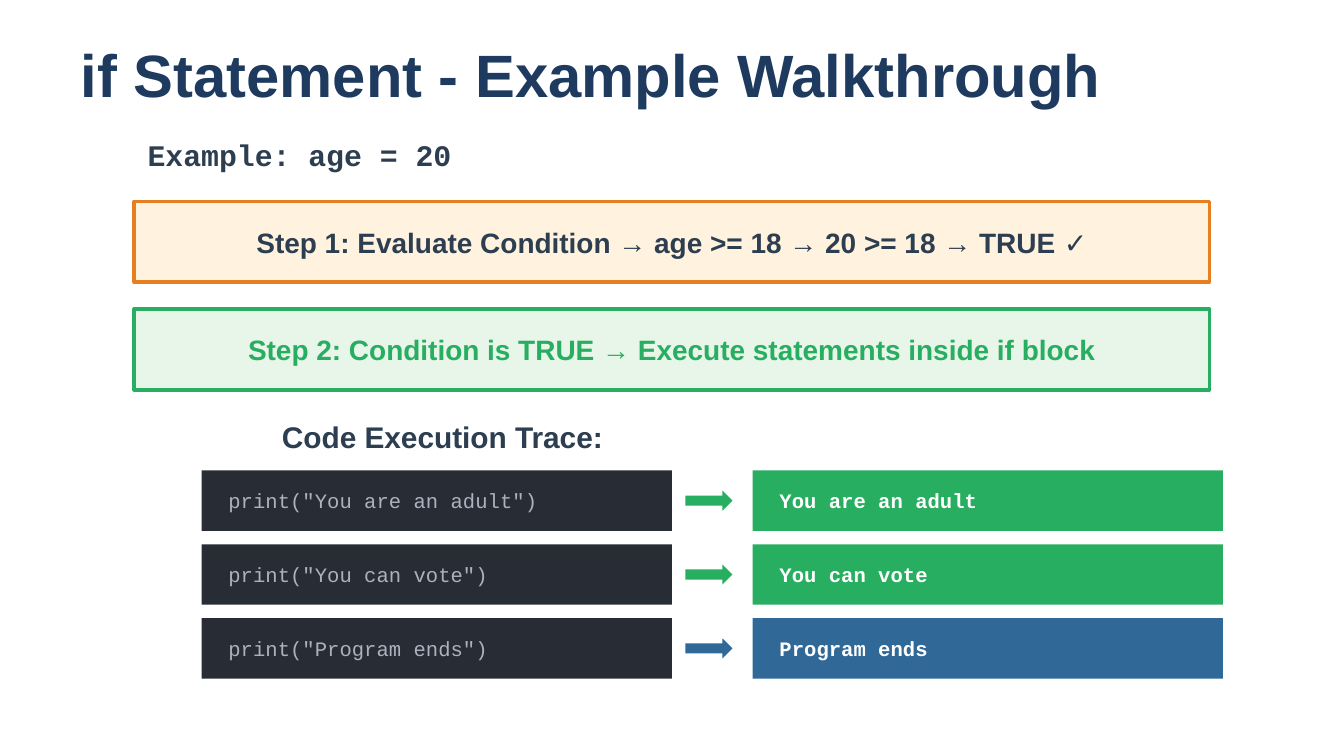
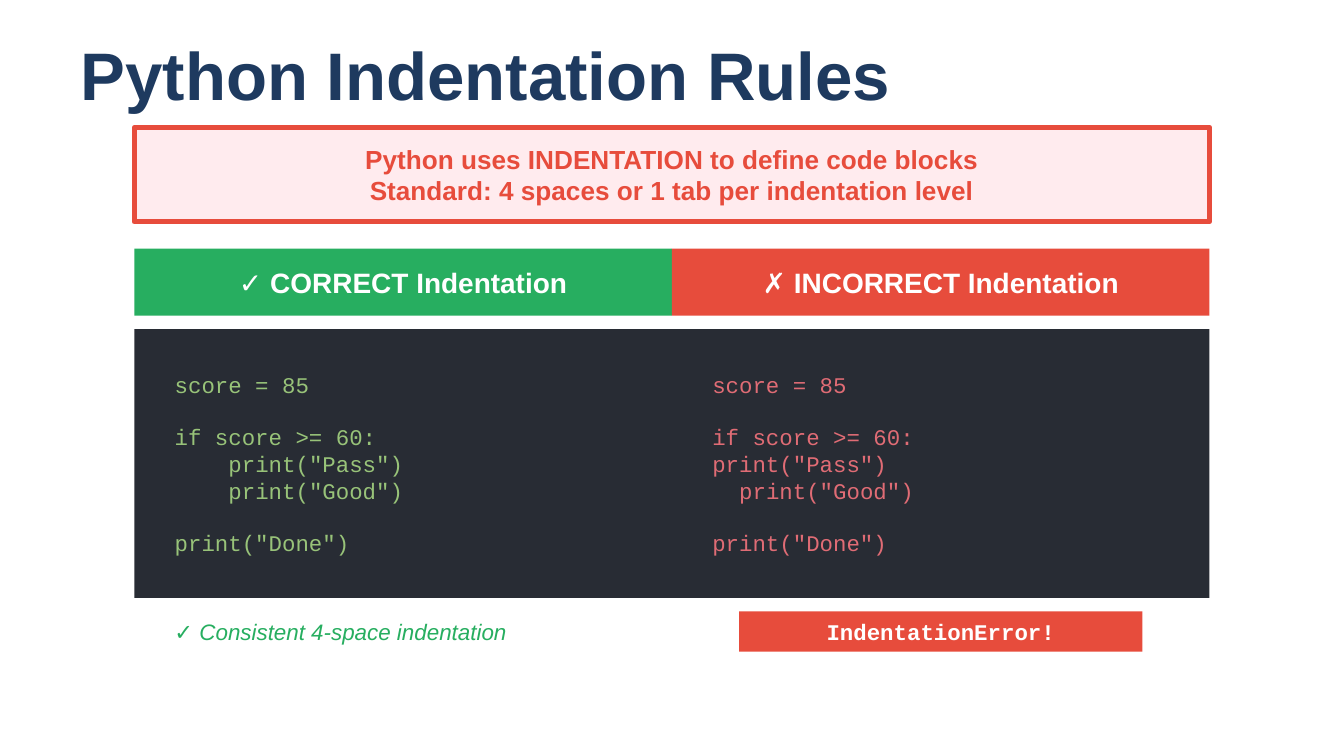
from dataclasses import dataclass
from typing import NamedTuple

import pptx
import pptx.dml.color
import pptx.enum.shapes
import pptx.enum.text
import pptx.oxml
import pptx.util

Pt = pptx.util.Pt
RGBColor = pptx.dml.color.RGBColor
Shape = pptx.enum.shapes.MSO_SHAPE
Align = pptx.enum.text.PP_ALIGN

NAVY = RGBColor(0x1E, 0x3A, 0x5F)
SLATE = RGBColor(0x2C, 0x3E, 0x50)
WHITE = RGBColor(0xFF, 0xFF, 0xFF)
DARK = RGBColor(0x28, 0x2C, 0x34)
GRAY = RGBColor(0xAB, 0xB2, 0xBF)
GREEN = RGBColor(0x27, 0xAE, 0x60)
RED = RGBColor(0xE7, 0x4C, 0x3C)
BLUE = RGBColor(0x30, 0x69, 0x98)
ORANGE = RGBColor(0xE6, 0x7E, 0x22)
CREAM = RGBColor(0xFF, 0xF3, 0xE0)
MINT = RGBColor(0xE8, 0xF5, 0xE9)
PINK = RGBColor(0xFF, 0xEB, 0xEE)
LIME = RGBColor(0x98, 0xC3, 0x79)
ROSE = RGBColor(0xE0, 0x6C, 0x75)

SANS, MONO = "Arial", "Courier New"
LEFT, WIDE = 72, 576
PAD = 7.2
CHAR, LEAD = 7.2, 13.6  # advance and line height of 12 pt code


class Area(NamedTuple):
    x: float
    y: float
    w: float
    h: float


class Face(NamedTuple):
    size: float
    color: RGBColor
    font: str = SANS
    bold: bool = True
    italic: bool = False


class Line(NamedTuple):
    """One paragraph, with its indent in characters and blank lines above."""
    text: str
    indent: int = 0
    above: int = 0


@dataclass
class Step:
    text: str
    fill: RGBColor
    edge: RGBColor
    ink: RGBColor


@dataclass
class Trace:
    code: str
    result: str
    color: RGBColor


@dataclass
class Side:
    head: str
    color: RGBColor
    ink: RGBColor
    code: list[Line]


STEPS = [
    Step("Step 1: Evaluate Condition → age >= 18 → 20 >= 18 → TRUE ✓",
         CREAM, ORANGE, SLATE),
    Step("Step 2: Condition is TRUE → Execute statements inside if block",
         MINT, GREEN, GREEN),
]
TRACES = [
    Trace('print("You are an adult")', "You are an adult", GREEN),
    Trace('print("You can vote")', "You can vote", GREEN),
    Trace('print("Program ends")', "Program ends", BLUE),
]


def listing(first: int, second: int) -> list[Line]:
    """Return the score program with the given indents in its if block."""
    return [
        Line("score = 85"),
        Line("if score >= 60:", above=1),
        Line('print("Pass")', first),
        Line('print("Good")', second),
        Line('print("Done")', above=1),
    ]


SIDES = [
    Side("✓ CORRECT Indentation", GREEN, LIME, listing(4, 4)),
    Side("✗ INCORRECT Indentation", RED, ROSE, listing(0, 2)),
]


def write(shape, lines: list[Line], face: Face,
          align=Align.LEFT, pad: float = PAD) -> None:
    frame = shape.text_frame
    frame.word_wrap = True
    frame.auto_size = pptx.enum.text.MSO_AUTO_SIZE.NONE
    frame.vertical_anchor = pptx.enum.text.MSO_ANCHOR.MIDDLE
    frame.margin_left = frame.margin_right = Pt(pad)
    frame.margin_top = frame.margin_bottom = Pt(3.6)
    frame.text = "\n".join(line.text for line in lines)
    for para, line in zip(frame.paragraphs, lines):
        para.alignment = align
        if line.above:
            para.space_before = Pt(line.above * LEAD)
        if line.indent:
            props = para._p.get_or_add_pPr()
            props.set("marL", str(Pt(line.indent * CHAR)))
        for run in para.runs:
            font = run.font
            font.name, font.size = face.font, Pt(face.size)
            font.bold, font.italic = face.bold, face.italic
            font.color.rgb = face.color


def place(area: Area) -> list[pptx.util.Length]:
    return [Pt(value) for value in area]


def block(slide, area: Area, fill: RGBColor, edge: RGBColor | None = None,
          width: float = 2, kind=Shape.RECTANGLE):
    shape = slide.shapes.add_shape(kind, *place(area))
    shape.shadow.inherit = False
    shape.fill.solid()
    shape.fill.fore_color.rgb = fill
    if edge is None:
        shape.line.fill.background()
    else:
        shape.line.color.rgb = edge
        shape.line.width = Pt(width)
    return shape


def label(slide, area: Area, text: str, face: Face) -> None:
    write(slide.shapes.add_textbox(*place(area)), [Line(text)], face)


def start(deck, title: str, size: float):
    """Add a slide with its title."""
    slide = deck.slides.add_slide(deck.slide_layouts[5])
    head = slide.shapes.title
    head.left, head.top, head.width, head.height = place(
        Area(36, 21.6, 648, 36))
    write(head, [Line(title)], Face(size, NAVY))
    return slide


def walk(deck) -> None:
    slide = start(deck, "if Statement - Example Walkthrough", 32)
    label(slide, Area(LEFT, 72, WIDE, 21.6), "Example: age = 20",
          Face(16, SLATE, MONO))
    for i, step in enumerate(STEPS):
        box = block(slide, Area(LEFT, 108 + i * 57.6, WIDE, 43.2),
                    step.fill, step.edge)
        write(box, [Line(step.text)], Face(15, step.ink), Align.CENTER)

    label(slide, Area(144, 223.2, 432, 21.6), "Code Execution Trace:",
          Face(16, SLATE))
    for i, trace in enumerate(TRACES):
        top = 252 + i * 39.6
        code = block(slide, Area(108, top, 252, 32.4), DARK)
        write(code, [Line(trace.code)], Face(11, GRAY, MONO, False),
              pad=2 * PAD)
        block(slide, Area(367.2, top + 10.8, 25.2, 10.8), trace.color,
              kind=Shape.RIGHT_ARROW)
        out = block(slide, Area(403.2, top, 252, 32.4), trace.color)
        write(out, [Line(trace.result)], Face(11, WHITE, MONO), pad=2 * PAD)


def rules(deck) -> None:
    slide = start(deck, "Python Indentation Rules", 36)
    note = block(slide, Area(LEFT, 68.4, WIDE, 50.4), PINK, RED, 3)
    write(note, [Line("Python uses INDENTATION to define code blocks"),
                 Line("Standard: 4 spaces or 1 tab per indentation level")],
          Face(14, RED), Align.CENTER)

    half = WIDE / 2
    for i, side in enumerate(SIDES):
        x = LEFT + i * half
        head = block(slide, Area(x, 133.2, half, 36), side.color)
        write(head, [Line(side.head)], Face(15, WHITE), Align.CENTER)
        code = block(slide, Area(x, 176.4, half, 144), DARK)
        write(code, side.code, Face(12, side.ink, MONO, False), pad=3 * PAD)

    label(slide, Area(86.4, 327.6, 259.2, 21.6),
          "✓ Consistent 4-space indentation",
          Face(12, GREEN, bold=False, italic=True))
    error = block(slide, Area(396, 327.6, 216, 21.6), RED)
    write(error, [Line("IndentationError!")], Face(12, WHITE, MONO),
          Align.CENTER)


def main() -> None:
    deck = pptx.Presentation()
    deck.slide_width, deck.slide_height = Pt(720), Pt(405)
    walk(deck)
    rules(deck)
    deck.save("out.pptx")


if __name__ == "__main__":
    main()
